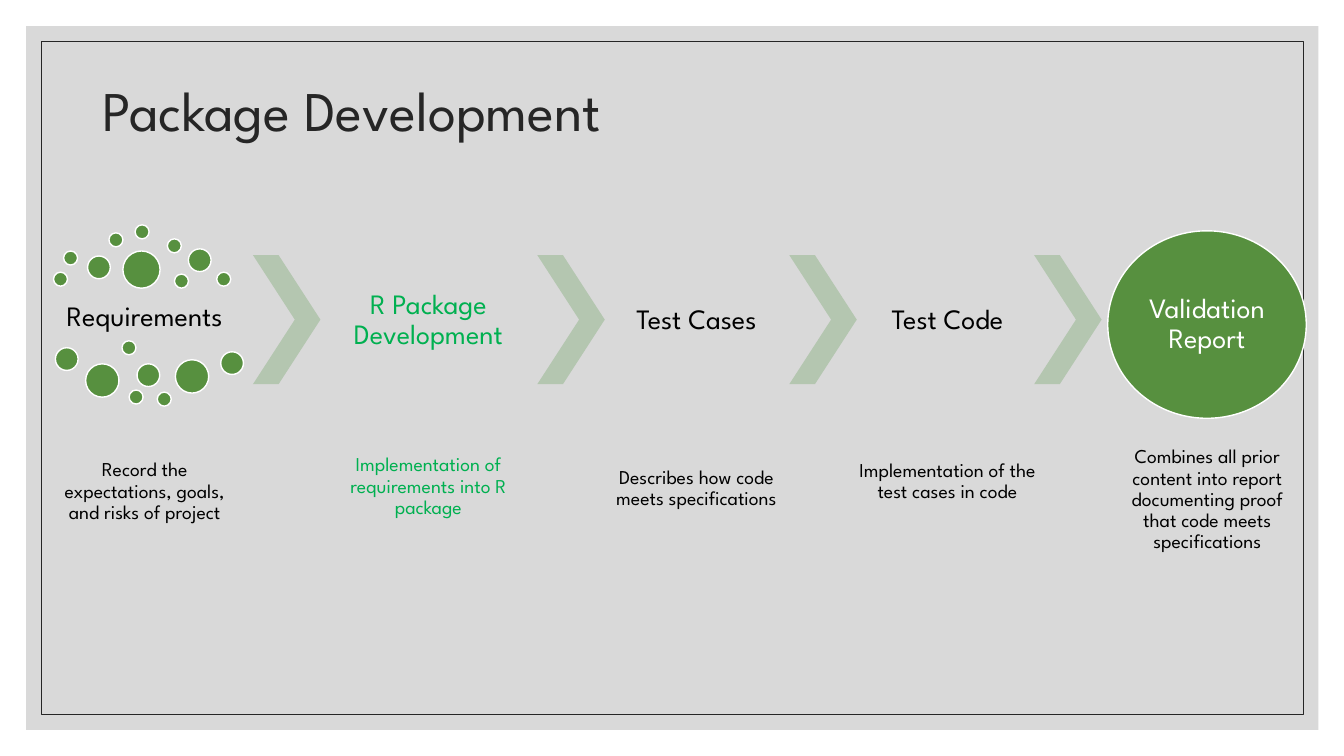
from pptx import Presentation
from pptx.dml.color import RGBColor
from pptx.enum.shapes import MSO_SHAPE
from pptx.enum.text import MSO_ANCHOR, PP_ALIGN
from pptx.util import Pt

PANEL_GREY = RGBColor(0xD9, 0xD9, 0xD9)
INK = RGBColor(0x26, 0x26, 0x26)
BLACK = RGBColor(0x00, 0x00, 0x00)
WHITE = RGBColor(0xFF, 0xFF, 0xFF)
GREEN = RGBColor(0x57, 0x90, 0x3F)
PALE_GREEN = RGBColor(0xB4, 0xC6, 0xB0)
HIGHLIGHT = RGBColor(0x00, 0xB0, 0x50)

# Each step: label, description, colour, centre x, label box (top, width, height), description top
STEPS = [
    ("Requirements", "Record the expectations, goals, and risks of project",
     BLACK, 103.4, (205.2, 153.4, 43.2), 311),
    ("R Package Development", "Implementation of requirements into R package",
     HIGHLIGHT, 306, (182.9, 155.5, 92.2), 307.4),
    ("Test Cases", "Describes how code meets specifications",
     BLACK, 497.5, (182.9, 131, 92.2), 308.9),
    ("Test Code", "Implementation of the test cases in code",
     BLACK, 676.8, (182.9, 131, 92.2), 303.8),
]
REPORT_CENTRE = 862.4
CHEVRON_LEFTS = [180.7, 383.8, 563.8, 738.7]
DESCRIPTION_WIDTH, DESCRIPTION_HEIGHT = 131, 80.6

# Dot diameter: left and top of each dot
DOTS = {
    10: [(38.2, 194.4), (45.4, 179.3), (77.8, 166.3), (96.5, 160.6), (119.5, 170.6),
         (154.8, 194.4), (124.6, 195.8), (87.1, 243.4), (92.2, 278.6), (112.3, 280.1)],
    16.2: [(62.6, 182.9), (134.6, 177.8), (39.6, 248.4), (97.9, 259.9), (157.7, 251.3)],
    23.8: [(61.2, 259.9), (125.3, 257)],
    26.6: [(87.8, 179.3)],
}


class SlideBuilder:
    font_name = "League Spartan"

    def __init__(self, slide):
        self.slide = slide

    def set_text(self, shape, text, size, color, alignment=PP_ALIGN.CENTER):
        frame = shape.text_frame
        frame.word_wrap = True
        frame.vertical_anchor = MSO_ANCHOR.MIDDLE
        paragraph = frame.paragraphs[0]
        paragraph.text = text
        paragraph.alignment = alignment
        paragraph.line_spacing = 0.9
        paragraph.font.name = self.font_name
        paragraph.font.size = Pt(size)
        paragraph.font.color.rgb = color

    def set_insets(self, shape, inset):
        frame = shape.text_frame
        frame.margin_left = frame.margin_right = Pt(inset)
        frame.margin_top = frame.margin_bottom = Pt(inset)

    def title(self, text, left, top, width, height):
        """Fill the title placeholder and raise it above the shapes drawn so far."""
        title = self.slide.shapes.title
        title.left, title.top = Pt(left), Pt(top)
        title.width, title.height = Pt(width), Pt(height)
        self.set_text(title, text, 40, INK, PP_ALIGN.LEFT)
        title._element.getparent().append(title._element)

    def shape(self, kind, left, top, width, height, fill=None, line=None, line_width=1):
        shape = self.slide.shapes.add_shape(kind, Pt(left), Pt(top), Pt(width), Pt(height))
        shape.shadow.inherit = False
        if fill is None:
            shape.fill.background()
        else:
            shape.fill.solid()
            shape.fill.fore_color.rgb = fill
        if line is None:
            shape.line.fill.background()
        else:
            shape.line.color.rgb = line
            shape.line.width = Pt(line_width)
        return shape

    def text_box(self, text, centre, top, width, height, size, color, inset):
        box = self.slide.shapes.add_textbox(
            Pt(centre - width / 2), Pt(top), Pt(width), Pt(height))
        self.set_insets(box, inset)
        self.set_text(box, text, size, color)

    def description(self, text, centre, top, color):
        self.text_box(text, centre, top, DESCRIPTION_WIDTH, DESCRIPTION_HEIGHT,
                      14, color, 1.4)

    def chevron(self, left):
        chevron = self.shape(MSO_SHAPE.CHEVRON, left, 182.2, 48.2, 92.2, PALE_GREEN)
        chevron.adjustments[0] = 0.62

    def circle(self, left, top, width, height):
        return self.shape(MSO_SHAPE.OVAL, left, top, width, height, GREEN, WHITE)


def main():
    presentation = Presentation()
    presentation.slide_width, presentation.slide_height = Pt(960), Pt(540)
    builder = SlideBuilder(presentation.slides.add_slide(presentation.slide_layouts[5]))

    builder.shape(MSO_SHAPE.RECTANGLE, 18.7, 18.7, 923, 502.6, PANEL_GREY)
    builder.shape(MSO_SHAPE.RECTANGLE, 29.5, 29.5, 901.4, 481, line=INK, line_width=0.5)
    builder.title("Package Development", 66, 28.8, 828, 104.4)

    for diameter, corners in DOTS.items():
        for left, top in corners:
            builder.circle(left, top, diameter, diameter)

    for step, chevron_left in zip(STEPS, CHEVRON_LEFTS):
        label, description, color, centre, label_box, description_top = step
        builder.text_box(label, centre, *label_box, 20, color, 2)
        builder.description(description, centre, description_top, color)
        builder.chevron(chevron_left)

    report = builder.circle(791.3, 164.9, 141.8, 133.9)
    builder.set_insets(report, 0)
    builder.set_text(report, "Validation Report", 20, WHITE)
    builder.description(
        "Combines all prior content into report documenting proof that code meets specifications",
        REPORT_CENTRE, 316.8, BLACK)

    presentation.save("out.pptx")


if __name__ == "__main__":
    main()
